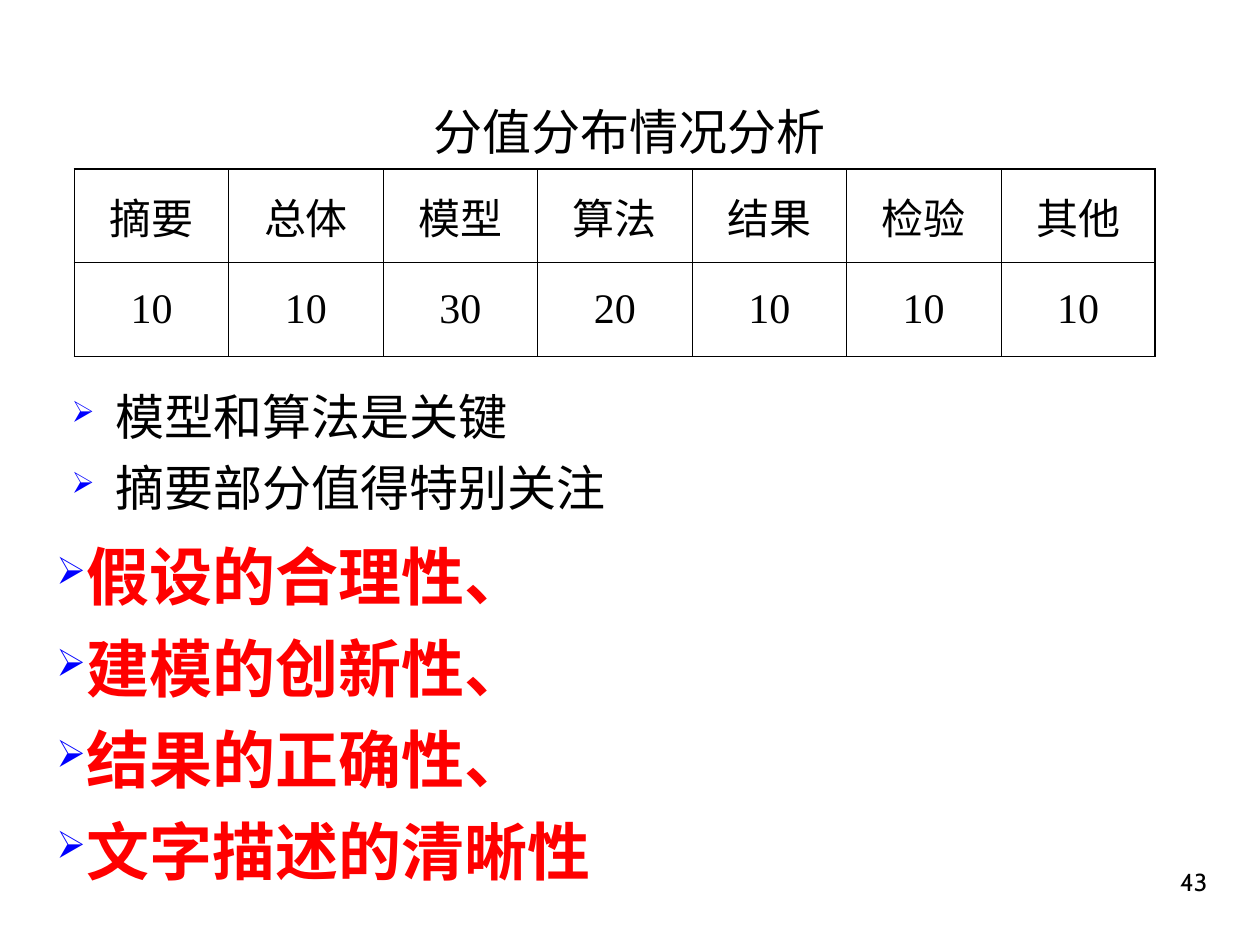
import pptx
import pptx.dml.color
import pptx.enum.text
import pptx.oxml
import pptx.oxml.ns
import pptx.util

ALIGN = pptx.enum.text.PP_ALIGN
ANCHOR = pptx.enum.text.MSO_ANCHOR

TITLE = "分值分布情况分析"
SCORES = [
    ("摘要", "10"),
    ("总体", "10"),
    ("模型", "30"),
    ("算法", "20"),
    ("结果", "10"),
    ("检验", "10"),
    ("其他", "10"),
]
REMARKS = ["模型和算法是关键", "摘要部分值得特别关注"]
CRITERIA = ["假设的合理性、", "建模的创新性、", "结果的正确性、", "文字描述的清晰性"]
PAGE_NUMBER = "43"

THEME = {
    "serif": "Times New Roman", "sans": "Cabin",
    "ink": "000000", "accent": "FF0000", "bullet": "0000FF",
    "body": 28, "table": 24, "criteria": 36, "page": 14,
    "outer_line": 1.08, "inner_line": 0.45,
}
BULLET, BULLET_PERCENT = "➢", 60

# left, top, width, height in percent of the slide's width and height
AREAS = {
    "title": (3.5, 10.13, 92.9, 8),
    "table": (5.9, 17.87, 85.8, 19.87),
    "remarks": (3.5, 40.2, 92.9, 19.27),
    "criteria": (3.5, 56.27, 73.6, 38.4),
    "page": (76, 88.8, 20.8, 6.67),
}

presentation = pptx.Presentation()
presentation.slide_width = pptx.util.Inches(10)
presentation.slide_height = pptx.util.Inches(7.5)
slide = presentation.slides.add_slide(presentation.slide_layouts[6])


def place(name):
    left, top, width, height = AREAS[name]
    return [
        round(share * side / 100)
        for share, side in (
            (left, presentation.slide_width), (top, presentation.slide_height),
            (width, presentation.slide_width), (height, presentation.slide_height),
        )
    ]


def append_xml(parent, body):
    """Append one DrawingML element, given without its namespace declaration."""
    tag, rest = body.split(" ", 1)
    namespace = pptx.oxml.ns.nsdecls("a")
    parent.append(pptx.oxml.parse_xml(f"<a:{tag} {namespace} {rest}"))


def add_bullet(paragraph, margin, hanging):
    properties = paragraph._p.get_or_add_pPr()
    properties.set("marL", str(pptx.util.Inches(margin)))
    properties.set("indent", str(-pptx.util.Inches(hanging)))
    append_xml(properties, f'buClr ><a:srgbClr val="{THEME["bullet"]}"/></a:buClr>')
    append_xml(properties, f'buSzPct val="{BULLET_PERCENT * 1000}"/>')
    append_xml(properties, f'buChar char="{BULLET}"/>')


def write(frame, lines, *, size, font="serif", color="ink", bold=False,
          align=ALIGN.LEFT, before=0, bullet=None):
    """Fill a text frame; bullet is (margin, hanging) in inches."""
    frame.word_wrap = True
    for index, line in enumerate(lines):
        paragraph = frame.add_paragraph() if index else frame.paragraphs[0]
        paragraph.alignment = align
        paragraph.space_before = pptx.util.Pt(before)
        if bullet:
            add_bullet(paragraph, *bullet)
        run = paragraph.add_run()
        run.text = line
        run.font.name = THEME[font]
        run.font.size = pptx.util.Pt(THEME[size])
        run.font.bold = bold
        run.font.color.rgb = pptx.dml.color.RGBColor.from_string(THEME[color])


def add_text(name, lines, anchor=ANCHOR.TOP, **text_format):
    frame = slide.shapes.add_textbox(*place(name)).text_frame
    frame.vertical_anchor = anchor
    write(frame, lines, **text_format)


def set_borders(cell, outer_sides):
    properties = cell._tc.get_or_add_tcPr()
    for side in "LRTB":
        points = THEME["outer_line" if side in outer_sides else "inner_line"]
        append_xml(
            properties,
            f'ln{side} w="{pptx.util.Pt(points)}"><a:solidFill>'
            f'<a:srgbClr val="{THEME["ink"]}"/></a:solidFill></a:ln{side}>',
        )


def add_score_table():
    rows = list(zip(*SCORES))
    last_row, last_column = len(rows) - 1, len(SCORES) - 1
    left, top, width, height = place("table")
    table = slide.shapes.add_table(
        len(rows), len(SCORES), left, top, width, height).table
    table.first_row = table.horz_banding = False
    for column in table.columns:
        column.width = width // len(SCORES)
    for row_index, row in enumerate(rows):
        for column_index, text in enumerate(row):
            cell = table.cell(row_index, column_index)
            cell.vertical_anchor = ANCHOR.MIDDLE
            write(cell.text_frame, [text], size="table", align=ALIGN.CENTER)
            edges = {"L": column_index == 0, "R": column_index == last_column,
                     "T": row_index == 0, "B": row_index == last_row}
            set_borders(cell, [side for side, is_outer in edges.items() if is_outer])
            cell.fill.background()


add_text("page", [PAGE_NUMBER], ANCHOR.BOTTOM, size="page", font="sans",
         align=ALIGN.RIGHT)
add_text("title", [TITLE], size="body", align=ALIGN.CENTER)
add_text("remarks", REMARKS, size="body", before=7, bullet=(0.47, 0.35))
add_score_table()
add_text("criteria", CRITERIA, size="criteria", font="sans", color="accent",
         bold=True, before=9, bullet=(0, 0))

presentation.save("out.pptx")
